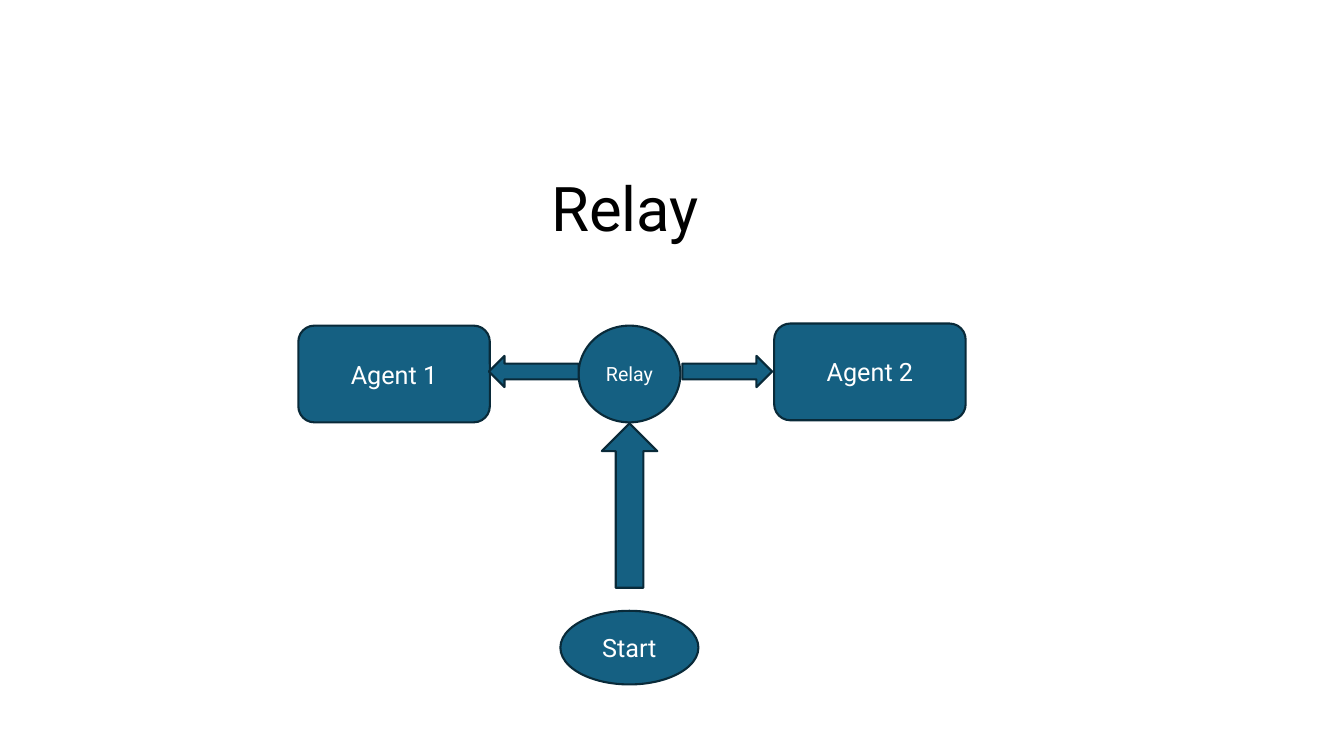
"""Build the Relay slide: a start node feeds a relay that passes on to two agents."""
from pptx import Presentation
from pptx.dml.color import RGBColor
from pptx.enum.shapes import MSO_SHAPE
from pptx.enum.text import MSO_ANCHOR, PP_ALIGN
from pptx.util import Pt


def color(value):
    return RGBColor.from_string(value)


def write(shape, text, size, ink, align, spacing):
    frame = shape.text_frame
    frame.word_wrap = True
    frame.vertical_anchor = MSO_ANCHOR.MIDDLE
    para = frame.paragraphs[0]
    para.alignment = align
    para.line_spacing = spacing
    span = para.add_run()
    span.text = text
    for name, value in {"name": "Roboto", "size": Pt(size)}.items():
        setattr(span.font, name, value)
    span.font.color.rgb = color(ink)


deck = Presentation()
deck.slide_width, deck.slide_height = Pt(960), Pt(540)
page = deck.slides.add_slide(deck.slide_layouts[6])

title = page.shapes.add_textbox(Pt(386.6), Pt(121.7), Pt(145.4), Pt(59))
write(title, "Relay", 44, "000000", PP_ALIGN.LEFT, 0.9)

agent = (136.8, 69.1)
arrow = (64.1, 22.3)
parts = [
    (MSO_SHAPE.ROUNDED_RECTANGLE, 213.1, 232.6, agent, 0, "Agent 1", 18),
    (MSO_SHAPE.ROUNDED_RECTANGLE, 553, 231.1, agent, 0, "Agent 2", 18),
    (MSO_SHAPE.OVAL, 413.3, 232.6, (72.7, 69.1), 0, "Relay", 14),
    (MSO_SHAPE.RIGHT_ARROW, 487.4, 254.2, arrow, 0, "", 18),
    (MSO_SHAPE.RIGHT_ARROW, 349.2, 254.2, arrow, 180, "", 18),
    (MSO_SHAPE.RIGHT_ARROW, 391, 341.3, (117.4, 39.6), 270, "", 18),
    (MSO_SHAPE.OVAL, 400.3, 436.3, (98.6, 52.6), 0, "Start", 18),
]
for kind, left, top, (width, height), turn, text, size in parts:
    shape = page.shapes.add_shape(kind, Pt(left), Pt(top), Pt(width), Pt(height))
    shape.shadow.inherit = False
    shape.rotation = turn
    shape.fill.solid()
    shape.fill.fore_color.rgb = color("156082")
    shape.line.color.rgb = color("092A39")
    shape.line.width = Pt(1.5)
    if text:
        write(shape, text, size, "FFFFFF", PP_ALIGN.CENTER, 1.0)

deck.save("out.pptx")
